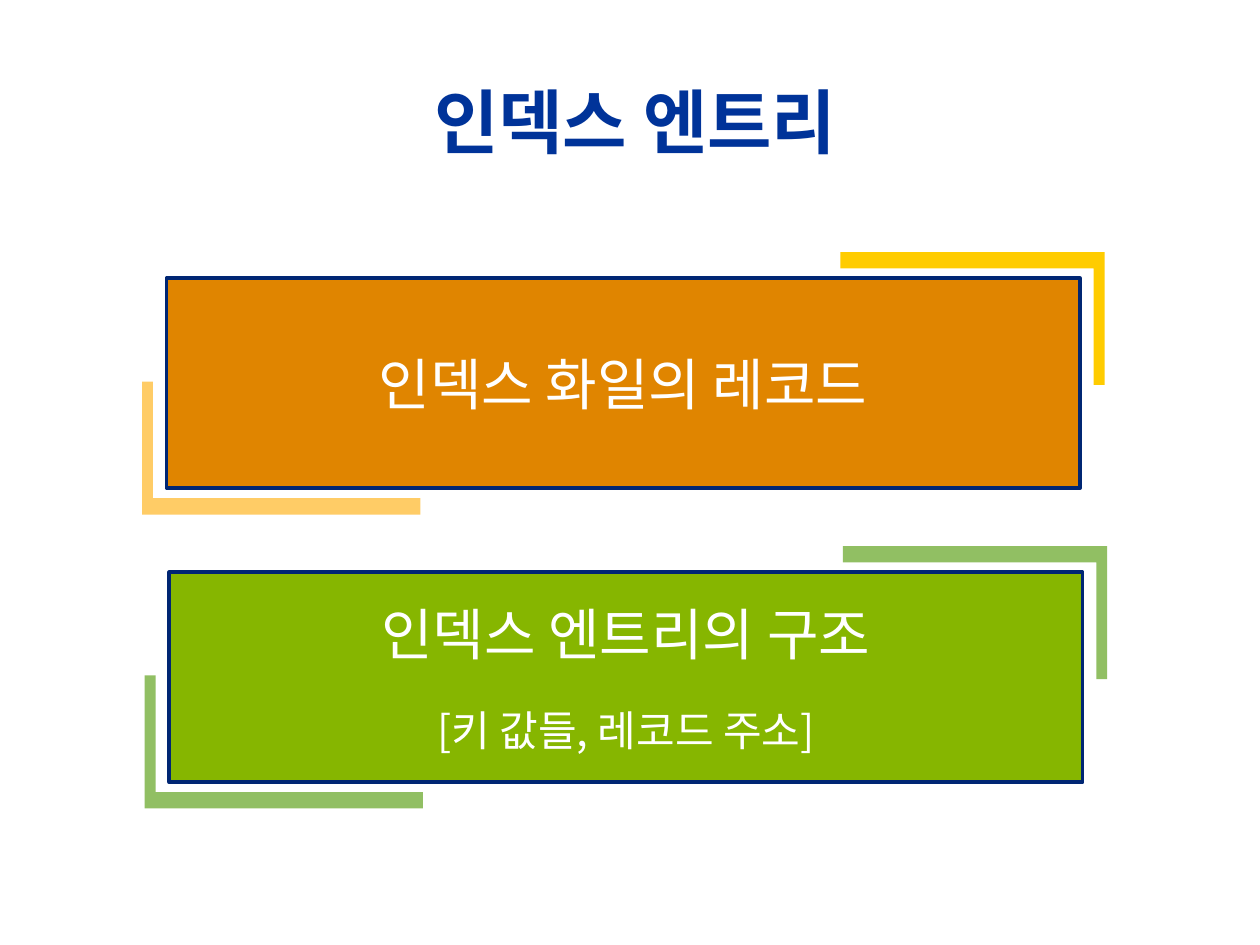
from dataclasses import dataclass
from pptx import Presentation
from pptx.dml.color import RGBColor
from pptx.enum.shapes import MSO_SHAPE
from pptx.enum.text import MSO_ANCHOR, PP_ALIGN
from pptx.oxml.ns import qn
from pptx.util import Pt


@dataclass(frozen=True)
class Theme:
    """Colours, font and type sizes of the slide."""
    font: str = "Noto Sans CJK KR"
    title: str = "003399"
    text: str = "FFFFFF"
    border: str = "002673"
    orange: str = "E08500"
    yellow: str = "FFCC00"
    sand: str = "FFCC66"
    green: str = "86B600"
    leaf: str = "91BF63"
    title_size: int = 40
    heading_size: int = 32
    detail_size: int = 24


THEME = Theme()


def write_lines(shape, lines, color, bold=False, gap=0):
    """Fill a shape with centred lines given as (text, size) pairs."""
    frame = shape.text_frame
    frame.word_wrap = True
    frame.vertical_anchor = MSO_ANCHOR.MIDDLE
    for index, (text, size) in enumerate(lines):
        paragraph = frame.add_paragraph() if index else frame.paragraphs[0]
        paragraph.alignment = PP_ALIGN.CENTER
        if index:
            paragraph.space_before = Pt(gap)
        run = paragraph.add_run()
        run.text = text
        formats = {"name": THEME.font, "size": Pt(size), "bold": bold}
        for name, value in formats.items():
            setattr(run.font, name, value)
        run.font.color.rgb = RGBColor.from_string(color)
        properties = run.font._element
        east_asian = properties.makeelement(qn("a:ea"), {"typeface": THEME.font})
        properties.find(qn("a:latin")).addnext(east_asian)


def add_title(slide, box, text):
    """Place the slide title in the box."""
    title = slide.shapes.add_textbox(*map(Pt, box))
    write_lines(title, [(text, THEME.title_size)], THEME.title, bold=True)


def add_bracket(slide, corner, width, height, color):
    """Draw an L bracket from its outer corner; signed sizes set its direction."""
    x, y = corner
    inner_x = x + (6.2 if width > 0 else -6.2)
    inner_y = y + (9.4 if height > 0 else -9.4)
    points = [(x, y), (x + width, y), (x + width, inner_y), (inner_x, inner_y),
              (inner_x, y + height), (x, y + height)]
    outline = [(Pt(px), Pt(py)) for px, py in points]
    builder = slide.shapes.build_freeform(*outline[0])
    builder.add_line_segments(outline[1:], close=True)
    bracket = builder.convert_to_shape()
    bracket.shadow.inherit = False
    bracket.fill.solid()
    bracket.fill.fore_color.rgb = RGBColor.from_string(color)
    bracket.line.fill.background()


def add_panel(slide, box, lines, fill, lower_color, upper_color):
    """Place a bordered panel with brackets at two opposite corners."""
    left, top, width, height = box
    margin_x, margin_y = 14, 15
    add_bracket(slide, (left - margin_x, top + height + margin_y), 159, -76, lower_color)
    add_bracket(slide, (left + width + margin_x, top - margin_y), -151, 76, upper_color)
    panel = slide.shapes.add_shape(MSO_SHAPE.RECTANGLE, *map(Pt, box))
    panel.shadow.inherit = False
    panel.fill.solid()
    panel.fill.fore_color.rgb = RGBColor.from_string(fill)
    panel.line.color.rgb = RGBColor.from_string(THEME.border)
    panel.line.width = Pt(2)
    write_lines(panel, lines, THEME.text, gap=22)


def main():
    """Build and save the slide."""
    presentation = Presentation()
    presentation.slide_width, presentation.slide_height = Pt(720), Pt(540)
    slide = presentation.slides.add_slide(presentation.slide_layouts[6])
    add_title(slide, (54, 48, 618, 42), "인덱스 엔트리")
    add_panel(slide, (95.2, 159, 522, 120),
              [("인덱스 화일의 레코드", THEME.heading_size)],
              THEME.orange, THEME.sand, THEME.yellow)
    add_panel(slide, (96.7, 327, 522, 120),
              [("인덱스 엔트리의 구조", THEME.heading_size),
               ("[키 값들, 레코드 주소]", THEME.detail_size)],
              THEME.green, THEME.leaf, THEME.leaf)
    presentation.save("out.pptx")


if __name__ == "__main__":
    main()
